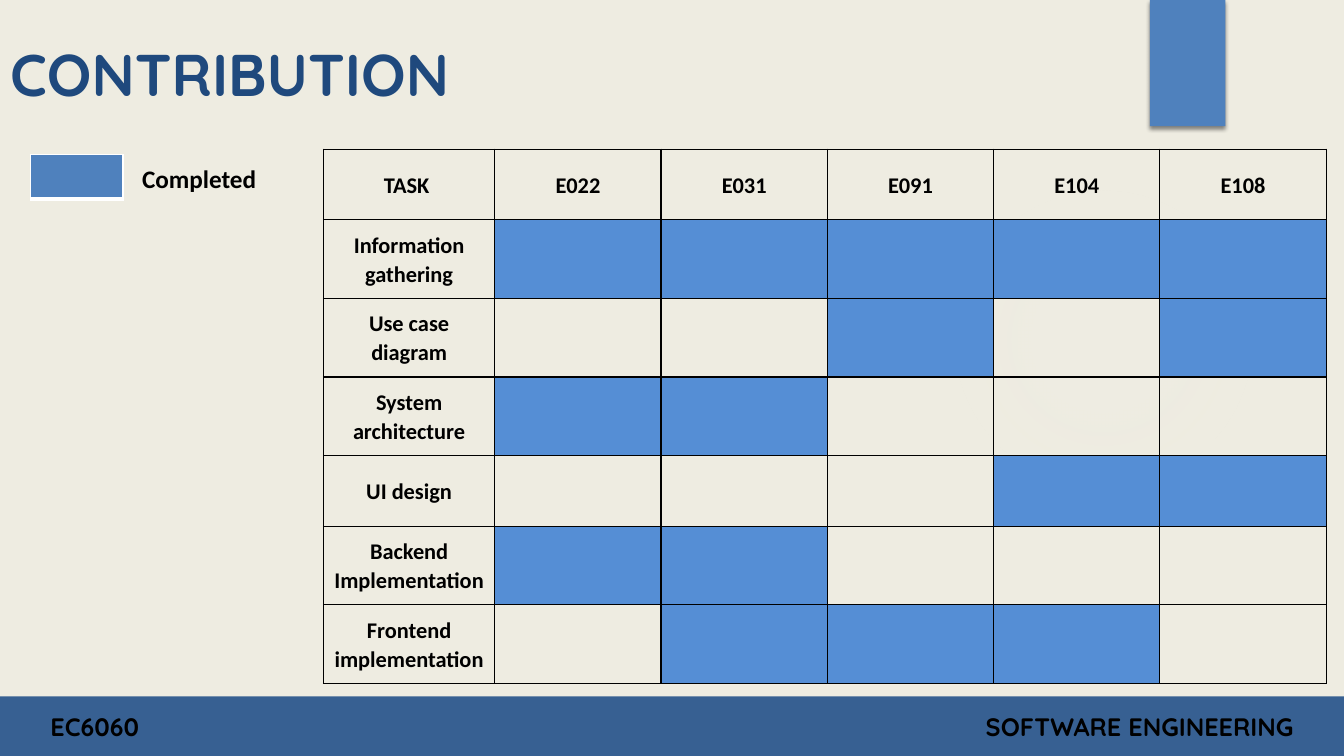
"""Build the contribution slide: a task-by-member table with a colour legend."""
from dataclasses import dataclass

from lxml.etree import SubElement
from pptx import Presentation
from pptx.dml.color import RGBColor
from pptx.enum.shapes import MSO_SHAPE
from pptx.enum.text import MSO_ANCHOR, PP_ALIGN
from pptx.oxml import parse_xml
from pptx.oxml.ns import nsdecls, qn
from pptx.util import Cm, Pt

TITLE = "CONTRIBUTION"
LEGEND = "Completed"
FOOTER = ("EC6060", "SOFTWARE ENGINEERING")
HEADER = ("TASK ", "E022", "E031", "E091", "E104", "E108")
TASKS = (
    ("Information gathering", {"E022", "E031", "E091", "E104", "E108"}),
    ("Use case diagram", {"E091", "E108"}),
    ("System architecture", {"E022", "E031"}),
    ("UI design", {"E104", "E108"}),
    ("Backend Implementation", {"E022", "E031"}),
    ("Frontend implementation", {"E031", "E091", "E104"}),
)
SHORT_ROW, TALL_ROW = 1.78, 1.98
ROW_HEIGHTS = (SHORT_ROW, TALL_ROW, TALL_ROW, TALL_ROW, SHORT_ROW, TALL_ROW, TALL_ROW)
COLUMN_WIDTHS = (4.32,) + (4.19,) * 5
PAGE_WIDTH, PAGE_HEIGHT = 33.87, 19.05
FOOTER_HEIGHT, FOOTER_MARGIN = 1.5, 1.27


@dataclass(frozen=True)
class Theme:
    """Colours, fonts and type sizes of the slide."""
    paper: str = "EEECE1"
    glow: str = "F5F4ED"
    accent: str = "4F81BD"
    done: str = "558ED5"
    footer: str = "376092"
    title: str = "1F497D"
    ink: str = "000000"
    white: str = "FFFFFF"
    display_font: str = "Quicksand"
    body_font: str = "Calibri"
    title_size: int = 42
    label_size: int = 18
    cell_size: int = 16


THEME = Theme()


def paint(fill, color):
    fill.solid()
    fill.fore_color.rgb = RGBColor.from_string(color)


def add_span(para, text, size, font, color=THEME.ink):
    span = para.add_run()
    span.text = text
    span.font.size = Pt(size)
    span.font.name = font
    span.font.bold = True
    span.font.color.rgb = RGBColor.from_string(color)


def add_block(page, kind, left, top, width, height, color):
    block = page.shapes.add_shape(kind, Cm(left), Cm(top), Cm(width), Cm(height))
    block.shadow.inherit = False
    block.line.fill.background()
    paint(block.fill, color)
    return block


def add_grid(page, left, top, widths, heights):
    frame = page.shapes.add_table(len(heights), len(widths), Cm(left), Cm(top),
                                  Cm(sum(widths)), Cm(sum(heights)))
    grid = frame.table
    grid.first_row = grid.horz_banding = False
    for column, width in zip(grid.columns, widths):
        column.width = Cm(width)
    for row, height in zip(grid.rows, heights):
        row.height = Cm(height)
    return grid


def set_borders(cell, color, bottom=1):
    properties = cell._tc.get_or_add_tcPr()
    sides = (("lnL", 1), ("lnR", 1), ("lnT", 1), ("lnB", bottom))
    for index, (side, points) in enumerate(sides):
        properties.insert(index, parse_xml(
            f'<a:{side} {nsdecls("a")} w="{Pt(points)}"><a:solidFill>'
            f'<a:srgbClr val="{color}"/></a:solidFill></a:{side}>'))


def add_glow(page):
    glow = add_block(page, MSO_SHAPE.OVAL, 23.9, 4.65, 7.82, 7.82, THEME.glow)
    stops = "".join(
        f'<a:gs pos="{place * 1000}"><a:srgbClr val="{THEME.glow}">'
        f'<a:alpha val="{alpha * 1000}"/></a:srgbClr></a:gs>'
        for place, alpha in ((0, 7), (36, 6), (69, 0)))
    solid = glow._element.spPr.find(qn("a:solidFill"))
    solid.getparent().replace(solid, parse_xml(
        f'<a:gradFill {nsdecls("a")}><a:gsLst>{stops}</a:gsLst><a:path path="circle">'
        '<a:fillToRect l="50000" t="50000" r="50000" b="50000"/></a:path></a:gradFill>'))


def add_ribbon(page):
    ribbon = add_block(page, MSO_SHAPE.RECTANGLE, 28.98, 0, 1.9, 3.18, THEME.accent)
    effects = ribbon._element.spPr.find(qn("a:effectLst"))
    effects.append(parse_xml(
        f'<a:outerShdw {nsdecls("a")} blurRad="{Pt(3)}" dist="{Pt(2)}" dir="5400000" '
        f'rotWithShape="0"><a:srgbClr val="{THEME.ink}"><a:alpha val="45000"/>'
        '</a:srgbClr></a:outerShdw>'))


def add_title(page):
    title = page.shapes.title
    title.left, title.top, title.width, title.height = Cm(0), Cm(0), Cm(15.21), Cm(3.68)
    title.text_frame.vertical_anchor = MSO_ANCHOR.MIDDLE
    para = title.text_frame.paragraphs[0]
    para.alignment = PP_ALIGN.LEFT
    add_span(para, TITLE, THEME.title_size, THEME.display_font, THEME.title)


def fill_cell(cell, text, done):
    cell.margin_left = cell.margin_right = Cm(0.18)
    cell.margin_top = cell.margin_bottom = Cm(0)
    cell.vertical_anchor = MSO_ANCHOR.MIDDLE
    if done:
        paint(cell.fill, THEME.done)
    else:
        cell.fill.background()
    set_borders(cell, THEME.ink)
    if text:
        para = cell.text_frame.paragraphs[0]
        para.alignment = PP_ALIGN.CENTER
        para.line_spacing = 1.07
        add_span(para, text, THEME.cell_size, THEME.body_font)


def add_tasks(page):
    grid = add_grid(page, 8.15, 3.76, COLUMN_WIDTHS, ROW_HEIGHTS)
    for column, heading in enumerate(HEADER):
        fill_cell(grid.cell(0, column), heading, False)
    for row, (task, members) in enumerate(TASKS, 1):
        fill_cell(grid.cell(row, 0), task, False)
        for column, member in enumerate(HEADER[1:], 1):
            fill_cell(grid.cell(row, column), "", member in members)


def add_legend(page):
    box = page.shapes.add_textbox(Cm(3.33), Cm(3.99), Cm(4.19), Cm(1.02))
    box.text_frame.word_wrap = True
    add_span(box.text_frame.paragraphs[0], LEGEND, THEME.label_size, THEME.body_font)
    swatch = add_grid(page, 0.76, 3.89, (2.34,), (1.12,)).cell(0, 0)
    paint(swatch.fill, THEME.accent)
    set_borders(swatch, THEME.white, bottom=3)


def add_footer(page):
    bar = add_block(page, MSO_SHAPE.RECTANGLE, 0, PAGE_HEIGHT - FOOTER_HEIGHT,
                    PAGE_WIDTH, FOOTER_HEIGHT, THEME.footer)
    frame = bar.text_frame
    frame.margin_left = frame.margin_right = Cm(FOOTER_MARGIN)
    frame.vertical_anchor = MSO_ANCHOR.MIDDLE
    para = frame.paragraphs[0]
    para.alignment = PP_ALIGN.LEFT
    tabs = SubElement(para._p.get_or_add_pPr(), qn("a:tabLst"))
    SubElement(tabs, qn("a:tab"), pos=str(Cm(PAGE_WIDTH - 2 * FOOTER_MARGIN)), algn="r")
    add_span(para, "\t".join(FOOTER), THEME.label_size, THEME.display_font)


def main():
    deck = Presentation()
    deck.slide_width, deck.slide_height = Cm(PAGE_WIDTH), Cm(PAGE_HEIGHT)
    page = deck.slides.add_slide(deck.slide_layouts[5])
    paint(page.background.fill, THEME.paper)
    for add_part in (add_glow, add_ribbon, add_title, add_tasks, add_legend, add_footer):
        add_part(page)
    deck.save("out.pptx")


if __name__ == "__main__":
    main()
